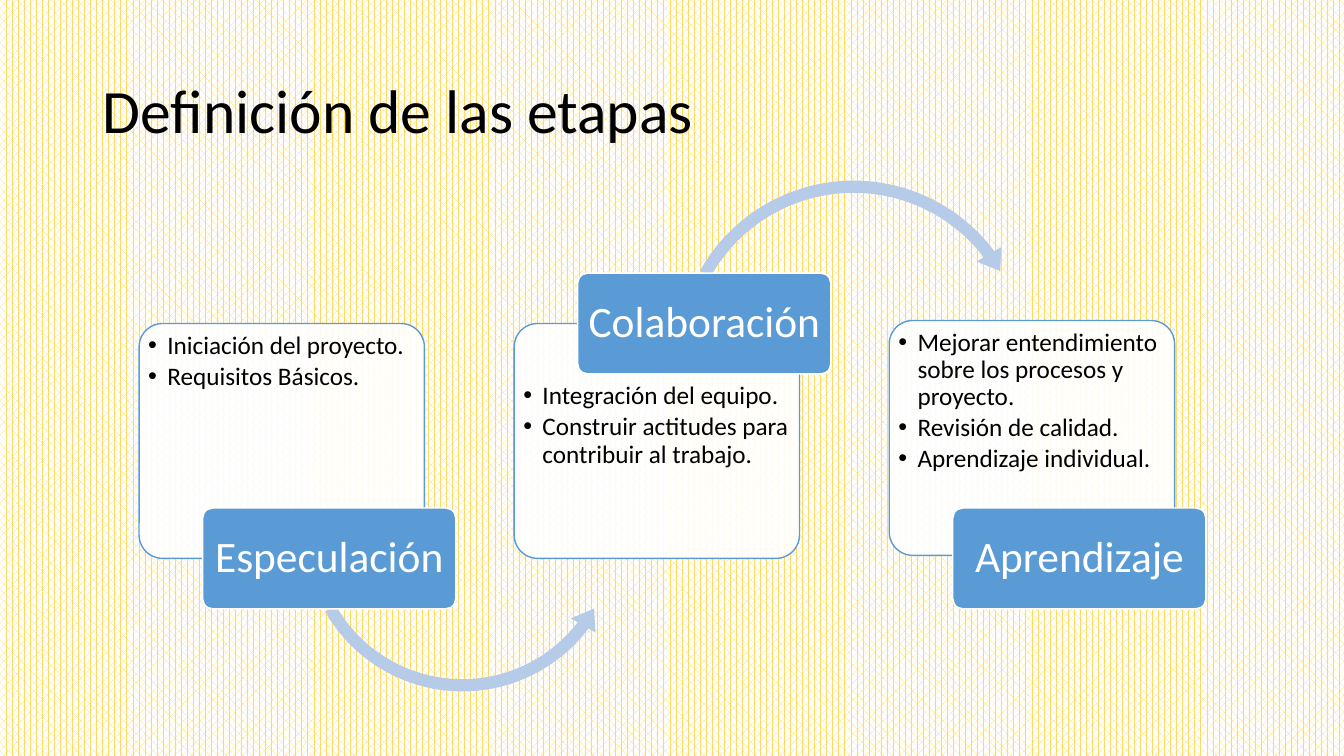
from lxml import etree
from pptx import Presentation
from pptx import util as u
from pptx.dml import color
from pptx.enum import dml, shapes, text
from pptx.oxml import ns

HUES = {"gold": "FFD966", "white": "FFFFFF", "blue": "5B9BD5", "pale": "B5CBE7", "black": "000000"}
FONT = "Calibri"
TITLE = "Definición de las etapas"
LEFT, PITCH = 1.38, 3.72
BOX, BODY, TAG, WORD = (2.83, 2.33), (2.72, 1.72), (2.51, 1), (2.45, 0.94)
KIND = shapes.MSO_SHAPE
STAGES = [
    {"name": "Especulación", "top": 3.21, "drop": 0.05, "tag": 5.04,
     "points": ["Iniciación del proyecto.", "Requisitos Básicos."],
     "arrow": {"kind": KIND.LEFT_CIRCULAR_ARROW, "at": (2.94, 3.65, 3.29, 3.29),
               "thick": 3.7, "turns": (7.62, 37.22, 150.41), "head": 4.3}},
    {"name": "Colaboración", "top": 3.21, "drop": 0.55, "tag": 2.71,
     "points": ["Integración del equipo.", "Construir actitudes para contribuir al trabajo."],
     "arrow": {"kind": KIND.CIRCULAR_ARROW, "at": (6.64, 1.71, 3.65, 3.65),
               "thick": 3.3, "turns": (6.81, 323.02, 209.01), "head": 3.9}},
    {"name": "Aprendizaje", "top": 3.18, "drop": 0.05, "tag": 5.04,
     "points": ["Mejorar entendimiento sobre los procesos y proyecto.",
                "Revisión de calidad.", "Aprendizaje individual."],
     "arrow": None},
]
STYLES = {
    "title": {"size": 44, "hue": "black", "after": 0, "align": text.PP_ALIGN.LEFT,
              "anchor": text.MSO_ANCHOR.MIDDLE, "pad": (0.1, 0.05), "dots": False},
    "body": {"size": 18, "hue": "black", "after": 0.15, "align": text.PP_ALIGN.LEFT,
             "anchor": text.MSO_ANCHOR.TOP, "pad": (0.04, 0.04), "dots": True},
    "tag": {"size": 31, "hue": "white", "after": 0.35, "align": text.PP_ALIGN.CENTER,
            "anchor": text.MSO_ANCHOR.MIDDLE, "pad": (0.06, 0.04), "dots": False},
}


def tint(name):
    return color.RGBColor.from_string(HUES[name])


def assign(item, values):
    for key, value in values.items():
        setattr(item, key, value)


def dot(para):
    props = para._p.get_or_add_pPr()
    props.set("marL", str(u.Inches(0.19)))
    props.set("indent", str(u.Inches(-0.19)))
    etree.SubElement(props, ns.qn("a:buFont")).set("typeface", "Arial")
    etree.SubElement(props, ns.qn("a:buChar")).set("char", "•")


def write(slide, place, lines, look):
    frame = slide.shapes.add_textbox(*map(u.Inches, place)).text_frame
    side, edge = map(u.Inches, look["pad"])
    assign(frame, {"word_wrap": True, "vertical_anchor": look["anchor"],
                   "margin_left": side, "margin_right": side,
                   "margin_top": edge, "margin_bottom": edge})
    for rank, line in enumerate(lines):
        para = frame.add_paragraph() if rank else frame.paragraphs[0]
        assign(para, {"alignment": look["align"], "line_spacing": 0.9,
                      "space_after": u.Pt(look["size"] * look["after"]),
                      "level": int(look["dots"])})
        if look["dots"]:
            dot(para)
        run = para.add_run()
        run.text = line
        assign(run.font, {"name": FONT, "size": u.Pt(look["size"])})
        run.font.color.rgb = tint(look["hue"])


def draw(slide, kind, place, fill, line=None, knobs=(0.1,)):
    shape = slide.shapes.add_shape(kind, *map(u.Inches, place))
    shape.shadow.inherit = False
    shape.fill.solid()
    shape.fill.fore_color.rgb = tint(fill)
    if line:
        shape.line.color.rgb = tint(line)
        shape.line.width = u.Pt(1)
    else:
        shape.line.fill.background()
    for rank, knob in enumerate(knobs):
        shape.adjustments[rank] = knob
    return shape


def bend(slide, arrow):
    knobs = [arrow["thick"] / 100, *(turn * 0.6 for turn in arrow["turns"]), arrow["head"] / 100]
    draw(slide, arrow["kind"], arrow["at"], "pale", knobs=knobs)


def stage(slide, rank, data):
    left, top, tag = LEFT + rank * PITCH, data["top"], data["tag"]
    box = draw(slide, KIND.ROUNDED_RECTANGLE, (left, top, *BOX), "white", "blue")
    shade = box.fill._xPr.find(".//" + ns.qn("a:srgbClr"))
    etree.SubElement(shade, ns.qn("a:alpha")).set("val", "90000")
    write(slide, (left + 0.05, top + data["drop"], *BODY), data["points"], STYLES["body"])
    if data["arrow"]:
        bend(slide, data["arrow"])
    side = left + 0.63
    draw(slide, KIND.ROUNDED_RECTANGLE, (side, tag, *TAG), "blue", "white")
    write(slide, (side + 0.03, tag + 0.03, *WORD), [data["name"]], STYLES["tag"])


def main():
    deck = Presentation()
    assign(deck, {"slide_width": u.Inches(13.33), "slide_height": u.Inches(7.5)})
    slide = deck.slides.add_slide(deck.slide_layouts[6])
    ground = slide.background.fill
    ground.patterned()
    ground.pattern = dml.MSO_PATTERN.PERCENT_60
    ground.fore_color.rgb = tint("gold")
    ground.back_color.rgb = tint("white")
    write(slide, (0.92, 0.4, 11.5, 1.45), [TITLE], STYLES["title"])
    for rank, data in enumerate(STAGES):
        stage(slide, rank, data)
    deck.save("out.pptx")


if __name__ == "__main__":
    main()
